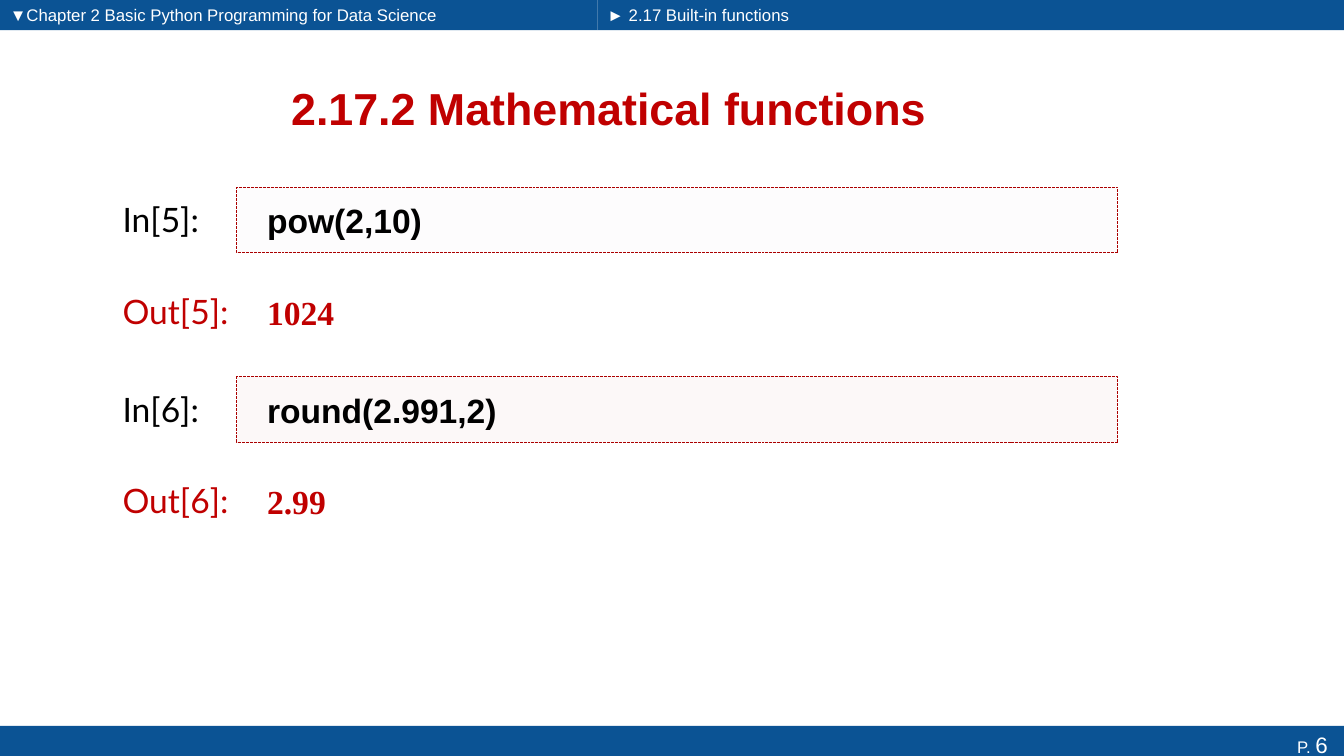
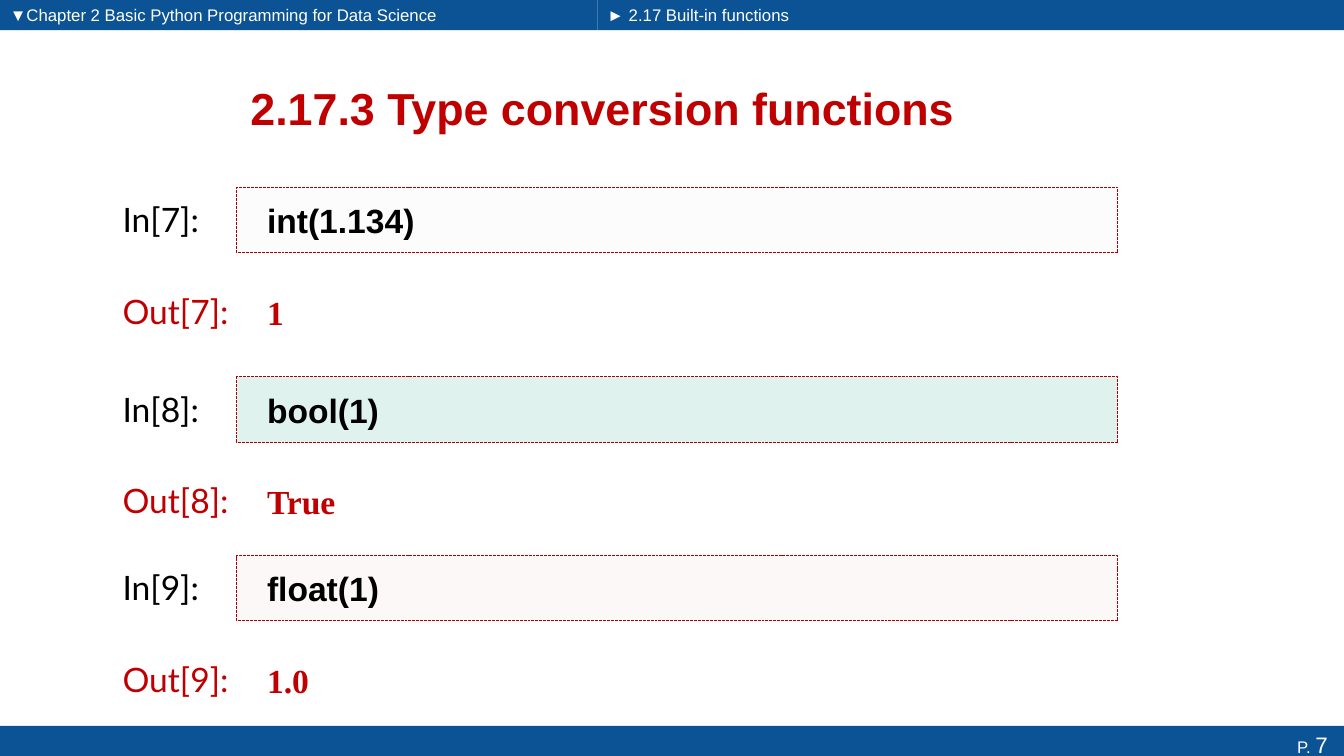
from lxml.etree import SubElement
from pptx import Presentation
from pptx.dml.color import RGBColor
from pptx.enum.dml import MSO_LINE
from pptx.enum.shapes import MSO_SHAPE as SHAPE
from pptx.enum.text import MSO_ANCHOR as ANCHOR, PP_ALIGN as ALIGN
from pptx.oxml.ns import qn
from pptx.util import Cm, Pt

SLIDE_WIDTH, SLIDE_HEIGHT = 33.87, 19.05
BAND_HEIGHT = 0.76
HEADER_SPLIT = 15.06

BLUE = RGBColor(0x0B, 0x53, 0x94)
RED = RGBColor(0xC0, 0x00, 0x00)
DARK_RED = RGBColor(0xAB, 0x00, 0x00)
WHITE = RGBColor(0xFF, 0xFF, 0xFF)
BLACK = RGBColor(0x00, 0x00, 0x00)
GREY_TINT = RGBColor(0xF1, 0xEE, 0xF4)
PINK_TINT = RGBColor(0xED, 0xCD, 0xCB)
GREEN_TINT = RGBColor(0x0C, 0x9B, 0x74)
TINT_OPACITY = 13

HEADINGS = [
    (0, "▼Chapter 2 Basic Python Programming for Data Science"),
    (HEADER_SPLIT, "► 2.17 Built-in functions"),
]

LABEL_LEFT, LABEL_WIDTH, LABEL_HEIGHT = 2.84, 3.43, 1.27
LABEL_DROP = 0.17
CELL_LEFT, CELL_WIDTH, CELL_HEIGHT = 5.97, 22.2, 1.65
OUTPUT_DROP = 2.31
CELL_TOPS = [4.72, 9.5, 14]

# Each slide: page, title, first cell number, then (code, output, tint).
SLIDES = [
    (6, "2.17.2 Mathematical functions", 5, [
        ("pow(2,10)", "1024", GREY_TINT),
        ("round(2.991,2)", "2.99", PINK_TINT),
    ]),
    (7, "2.17.3 Type conversion functions ", 7, [
        ("int(1.134)", "1", GREY_TINT),
        ("bool(1)", "True", GREEN_TINT),
        ("float(1)", "1.0", PINK_TINT),
    ]),
]


def style_run(run, size, color, font="Arial", bold=False):
    run.font.name = font
    run.font.size = Pt(size)
    run.font.bold = bold
    run.font.color.rgb = color


def write(shape, text, size, color, font="Arial", bold=False,
          align=ALIGN.LEFT, anchor=ANCHOR.TOP):
    frame = shape.text_frame
    frame.word_wrap = True
    frame.vertical_anchor = anchor
    frame.text = text
    paragraph = frame.paragraphs[0]
    paragraph.alignment = align
    style_run(paragraph.runs[0], size, color, font, bold)


def add_text(slide, left, top, width, height):
    return slide.shapes.add_textbox(Cm(left), Cm(top), Cm(width), Cm(height))


def add_rectangle(slide, left, top, width, height, fill):
    shape = slide.shapes.add_shape(
        SHAPE.RECTANGLE, Cm(left), Cm(top), Cm(width), Cm(height))
    shape.shadow.inherit = False
    shape.fill.solid()
    shape.fill.fore_color.rgb = fill
    shape.line.fill.background()
    return shape


def set_opacity(shape, percent):
    color = shape.fill._xPr.find(qn("a:solidFill"))[0]
    SubElement(color, qn("a:alpha"), val=str(percent * 1000))


def add_frame(slide, page):
    """Add the header bands with their headings and the page-number footer."""
    add_rectangle(slide, 0, 0, HEADER_SPLIT, BAND_HEIGHT, BLUE)
    add_rectangle(slide, HEADER_SPLIT, 0, SLIDE_WIDTH - HEADER_SPLIT,
                  BAND_HEIGHT, BLUE)
    for left, heading in HEADINGS:
        box = add_text(slide, left, 0, 12.5, BAND_HEIGHT)
        write(box, heading, 12, WHITE)

    footer = add_rectangle(slide, 0, SLIDE_HEIGHT - BAND_HEIGHT, SLIDE_WIDTH,
                           BAND_HEIGHT, BLUE)
    write(footer, "P. ", 12, WHITE, align=ALIGN.RIGHT)
    number = footer.text_frame.paragraphs[0].add_run()
    number.text = f"{page} "
    style_run(number, 16, WHITE)


def add_title(slide, title):
    box = add_text(slide, 1.73, 1.57, 27.23, 2.29)
    write(box, title, 32, RED, bold=True, align=ALIGN.CENTER,
          anchor=ANCHOR.MIDDLE)


def add_label(slide, text, row_top, color):
    box = add_text(slide, LABEL_LEFT, row_top + LABEL_DROP,
                   LABEL_WIDTH, LABEL_HEIGHT)
    write(box, text, 24, color, font="Lato")


def write_cell(shape, text, color, font):
    shape.text_frame.margin_left = Cm(0.76)
    write(shape, text, 24, color, font, bold=True, anchor=ANCHOR.MIDDLE)


def add_notebook_cell(slide, number, top, code, output, tint):
    """Add a labelled code box with its labelled result below."""
    add_label(slide, f"In[{number}]:", top, BLACK)
    code_box = add_rectangle(slide, CELL_LEFT, top, CELL_WIDTH, CELL_HEIGHT,
                             tint)
    set_opacity(code_box, TINT_OPACITY)
    code_box.line.color.rgb = DARK_RED
    code_box.line.width = Pt(0.7)
    code_box.line.dash_style = MSO_LINE.SQUARE_DOT
    write_cell(code_box, code, BLACK, "Arial")

    output_top = top + OUTPUT_DROP
    add_label(slide, f"Out[{number}]:", output_top, RED)
    output_box = add_text(slide, CELL_LEFT, output_top, CELL_WIDTH,
                          CELL_HEIGHT)
    write_cell(output_box, output, RED, "Times New Roman")


def main():
    presentation = Presentation()
    presentation.slide_width = Cm(SLIDE_WIDTH)
    presentation.slide_height = Cm(SLIDE_HEIGHT)
    blank = presentation.slide_layouts[6]
    for page, title, first_number, cells in SLIDES:
        slide = presentation.slides.add_slide(blank)
        add_frame(slide, page)
        add_title(slide, title)
        for index, (top, cell) in enumerate(zip(CELL_TOPS, cells)):
            add_notebook_cell(slide, first_number + index, top, *cell)
    presentation.save("out.pptx")


if __name__ == "__main__":
    main()
